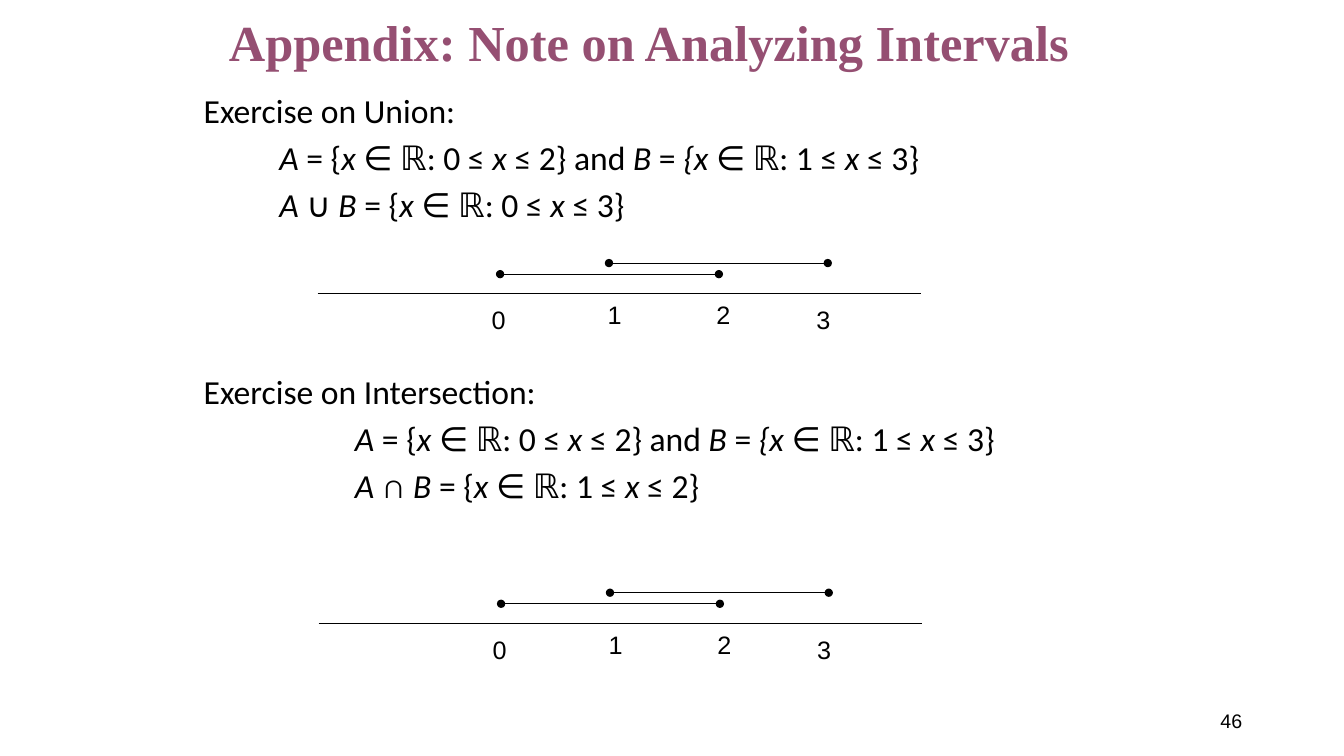
from lxml import etree
from pptx import Presentation
from pptx.dml.color import RGBColor
from pptx.enum import shapes, text
from pptx.oxml import ns
from pptx.util import Inches, Pt

BLACK = RGBColor(0x00, 0x00, 0x00)
PLUM = RGBColor(0x95, 0x4F, 0x72)
SETS = "*A* = {*x* ∈ ℝ: 0 ≤ *x* ≤ 2} and *B *= *{x* ∈ ℝ: 1 ≤ *x* ≤ 3}"
EXERCISES = [
    ("Exercise on Union:", 0, 7.5),
    (SETS, 0.75, 7.5),
    ("*A *∪ *B* = {*x* ∈ ℝ: 0 ≤ *x* ≤ 3}", 0.75, 7.5),
    ("Exercise on Intersection:", 0, 108),
    (SETS, 1.5, 7.5),
    ("*A *∩ *B* = {*x* ∈ ℝ: 1 ≤ *x* ≤ 2}", 1.5, 7.5),
]
TICK_LABELS = [("0", 4.8, 0.03), ("1", 5.95, -0.02), ("2", 7.03, -0.02), ("3", 8.02, 0.03)]


def write(paragraph, content, font="Arial", size=18, color=BLACK, bold=False,
          align=text.PP_ALIGN.LEFT, spacing=1.0, before=0):
    """Fill a paragraph, setting the parts between asterisks in italics."""
    paragraph.alignment = align
    paragraph.line_spacing = spacing
    paragraph.space_before = Pt(before)
    for index, part in enumerate(content.split("*")):
        if part:
            run = paragraph.add_run()
            run.text = part
            run.font.name = font
            run.font.size = Pt(size)
            run.font.bold = bold
            run.font.italic = index % 2 == 1
            run.font.color.rgb = color


def place(shape, left, top, width, height):
    """Move and size a shape, in inches."""
    shape.left, shape.top = Inches(left), Inches(top)
    shape.width, shape.height = Inches(width), Inches(height)


def add_title(slide, content):
    """Format the title placeholder."""
    title = slide.shapes.title
    place(title, 2.17, 0.03, 9, 0.84)
    frame = title.text_frame
    frame.auto_size = text.MSO_AUTO_SIZE.NONE
    frame.vertical_anchor = text.MSO_ANCHOR.MIDDLE
    write(frame.paragraphs[0], content, font="Times New Roman", size=36,
          color=PLUM, bold=True, spacing=0.9)


def add_exercises(slide):
    """Write the exercises as unbulleted lines of the body placeholder."""
    body = slide.placeholders[1]
    place(body, 1.92, 0.89, 9, 6.28)
    frame = body.text_frame
    frame.auto_size = text.MSO_AUTO_SIZE.NONE
    frame.vertical_anchor = text.MSO_ANCHOR.TOP
    for index, (content, indent, before) in enumerate(EXERCISES):
        paragraph = frame.add_paragraph() if index else frame.paragraphs[0]
        write(paragraph, content, font="Calibri", size=24, spacing=0.9, before=before)
        properties = paragraph._p.get_or_add_pPr()
        properties.set("marL", str(Inches(indent)))
        properties.set("indent", "0")
        etree.SubElement(properties, ns.qn("a:buNone"))


def add_text(parent, content, left, top, width, height, margins=(0.1, 0.05),
             anchor=text.MSO_ANCHOR.TOP, **style):
    """Add a text box with one paragraph."""
    box = parent.add_textbox(Inches(left), Inches(top), Inches(width), Inches(height))
    frame = box.text_frame
    frame.word_wrap = True
    frame.vertical_anchor = anchor
    frame.margin_left = frame.margin_right = Inches(margins[0])
    frame.margin_top = frame.margin_bottom = Inches(margins[1])
    write(frame.paragraphs[0], content, **style)


def add_line(parent, start, end, y, closed=False):
    """Add a horizontal line, with dots at both ends if closed."""
    line = parent.add_connector(shapes.MSO_CONNECTOR.STRAIGHT,
                                Inches(start), Inches(y), Inches(end), Inches(y))
    line.line.color.rgb = BLACK
    line.line.width = Pt(0.5)
    if closed:
        outline = line.line._get_or_add_ln()
        for tag in ("a:headEnd", "a:tailEnd"):
            etree.SubElement(outline, ns.qn(tag)).set("type", "oval")
    etree.SubElement(line._element.spPr, ns.qn("a:effectLst"))


def add_number_line(slide, left, y):
    """Group an axis with its two closed intervals and tick labels."""
    parent = slide.shapes.add_group_shape().shapes
    add_line(parent, left + 1.81, left + 3.98, y - 0.19, closed=True)
    add_line(parent, left + 2.89, left + 5.06, y - 0.3, closed=True)
    add_line(parent, left, left + 5.98, y)
    for label, x, drop in TICK_LABELS:
        add_text(parent, label, left + x - 3.15, y + drop, 0.29, 0.4,
                 margins=(0.05, 0.08), align=text.PP_ALIGN.CENTER)


def main():
    """Build and save the slide."""
    presentation = Presentation()
    presentation.slide_width = Inches(13.33)
    presentation.slide_height = Inches(7.5)
    slide = presentation.slides.add_slide(presentation.slide_layouts[1])
    add_title(slide, "Appendix: Note on Analyzing Intervals")
    add_exercises(slide)
    add_number_line(slide, 3.15, 2.91)
    add_number_line(slide, 3.16, 6.18)
    add_text(slide.shapes, "46", 9.42, 6.95, 3, 0.4, size=14,
             anchor=text.MSO_ANCHOR.MIDDLE, align=text.PP_ALIGN.RIGHT)
    presentation.save("out.pptx")


if __name__ == "__main__":
    main()
